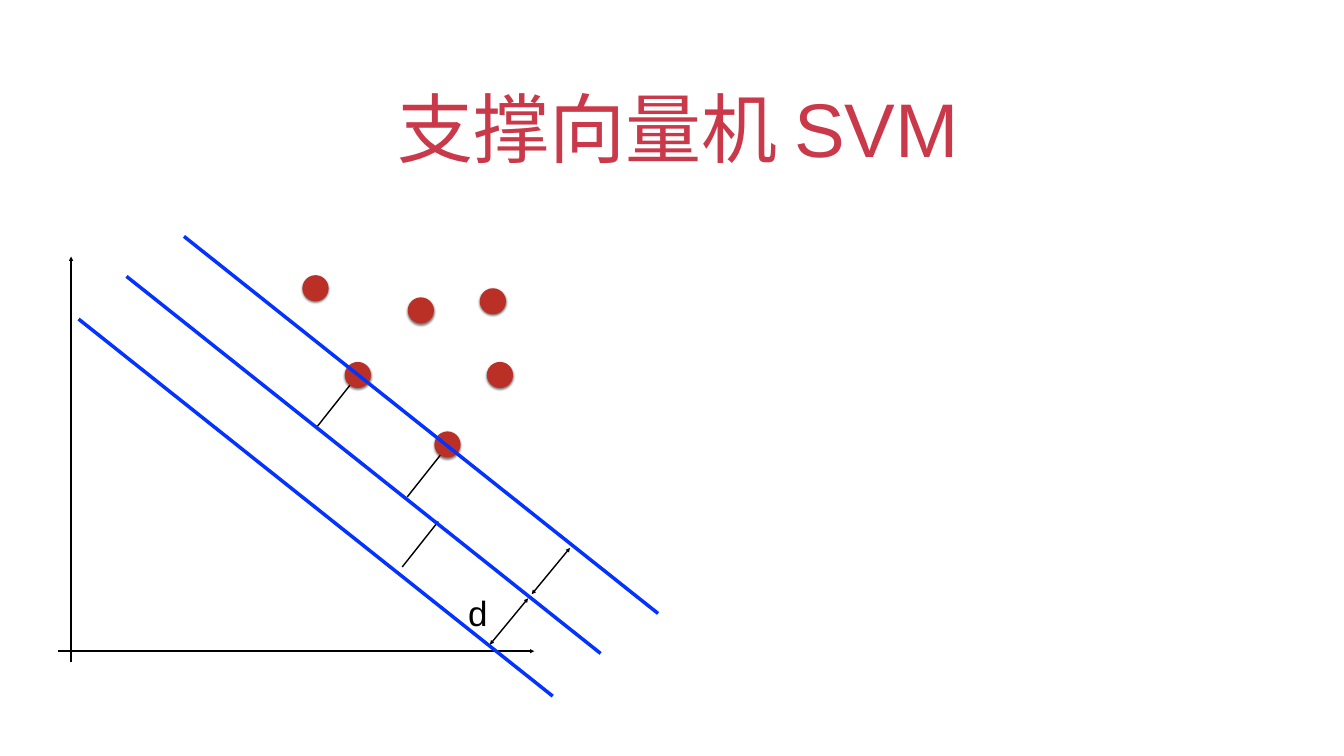
"""Build the support vector machine margin slide."""
import pptx
import pptx.util
import pptx.dml.color
import pptx.enum.shapes
import pptx.enum.text
import pptx.oxml
import pptx.oxml.ns

Pt = pptx.util.Pt
COLORS = {"title": "C9394A", "ink": "000000", "point": "BA3027", "plane": "0433FF"}
FONT = "Arial"


class Deck:
    """Hold the style, the current slide and the diagram group."""

    def __init__(self, width, height):
        self.prs = pptx.Presentation()
        self.prs.slide_width, self.prs.slide_height = Pt(width), Pt(height)
        self.s = self.prs.slides.add_slide(self.prs.slide_layouts[5])
        self.group = self.s.shapes.add_group_shape()

    def color(self, name):
        return pptx.dml.color.RGBColor.from_string(COLORS[name])

    def effects(self, sp, inner=""):
        ns = pptx.oxml.ns.nsdecls("a")
        sp._element.spPr.append(
            pptx.oxml.parse_xml(f"<a:effectLst {ns}>{inner}</a:effectLst>"))

    def add_text(self, sp, text, size, color, anchor, align, indent, spacing=1.0):
        tf = sp.text_frame
        tf.word_wrap = True
        tf.auto_size = pptx.enum.text.MSO_AUTO_SIZE.NONE
        tf.vertical_anchor = anchor
        tf.margin_left = tf.margin_right = tf.margin_top = tf.margin_bottom = Pt(4)
        p = tf.paragraphs[0]
        p.alignment = align
        p.line_spacing = spacing
        p._p.get_or_add_pPr().set("indent", str(Pt(indent)))
        r = p.add_run()
        r.text = text
        r.font.name, r.font.size = FONT, Pt(size)
        r.font.color.rgb = self.color(color)

    def title(self, text, x, y, w, h):
        sp = self.s.shapes.title
        sp.left, sp.top, sp.width, sp.height = Pt(x), Pt(y), Pt(w), Pt(h)
        self.add_text(sp, text, 108.6, "title", pptx.enum.text.MSO_ANCHOR.BOTTOM,
                      pptx.enum.text.PP_ALIGN.CENTER, 17)

    def label(self, text, x, y, w, h):
        sp = self.group.shapes.add_textbox(Pt(x), Pt(y), Pt(w), Pt(h))
        self.add_text(sp, text, 50, "ink", pptx.enum.text.MSO_ANCHOR.MIDDLE,
                      pptx.enum.text.PP_ALIGN.LEFT, 18, 1.5)

    def line(self, x, y, dx, dy, color="ink", width=2, ends=()):
        sp = self.group.shapes.add_connector(
            pptx.enum.shapes.MSO_CONNECTOR.STRAIGHT, Pt(x), Pt(y), Pt(x + dx), Pt(y + dy))
        sp.line.color.rgb = self.color(color)
        sp.line.width = Pt(width)
        ns = pptx.oxml.ns.nsdecls("a")
        for end in ends:
            sp._element.spPr.find(pptx.oxml.ns.qn("a:ln")).append(
                pptx.oxml.parse_xml(f'<a:{end} {ns} type="triangle"/>'))
        self.effects(sp)

    def dot(self, x, y, size=37.4):
        sp = self.group.shapes.add_shape(
            pptx.enum.shapes.MSO_SHAPE.OVAL, Pt(x), Pt(y), Pt(size), Pt(size))
        sp.fill.solid()
        sp.fill.fore_color.rgb = self.color("point")
        sp.line.fill.background()
        self.effects(sp, f'<a:outerShdw blurRad="{Pt(3)}" dist="{Pt(2)}" dir="5400000" '
                         f'rotWithShape="0"><a:srgbClr val="{COLORS["ink"]}">'
                         '<a:alpha val="50000"/></a:srgbClr></a:outerShdw>')


def main():
    deck = Deck(1920, 1080)
    deck.title("支撑向量机 SVM", 140, 91.4, 1640, 160)

    for x, y in [(574.6, 810), (581.8, 709.9), (452.2, 610.6)]:
        deck.line(x, y, 51.5, -65)

    deck.line(83.5, 930.2, 679.7, 0, ends=["tailEnd"])
    deck.line(101.5, 946, 0, -579.5, ends=["tailEnd"])

    for x, y in [(685.4, 411.8), (582.5, 424.8), (695.5, 517),
                 (432, 393.1), (492.5, 517), (620.6, 616.3)]:
        deck.dot(x, y)

    for x, y in [(262.8, 337.7), (180.7, 394.8), (112.3, 455.8)]:
        deck.line(x, y, 677.3, 538.7, "plane", 5)

    for x, y in [(699.8, 920.9), (759.6, 848.9)]:
        deck.line(x, y, 54.7, -66.2, ends=["headEnd", "tailEnd"])

    deck.label("d", 646.6, 819.4, 81.4, 80.6)
    deck.prs.save("out.pptx")


if __name__ == "__main__":
    main()
